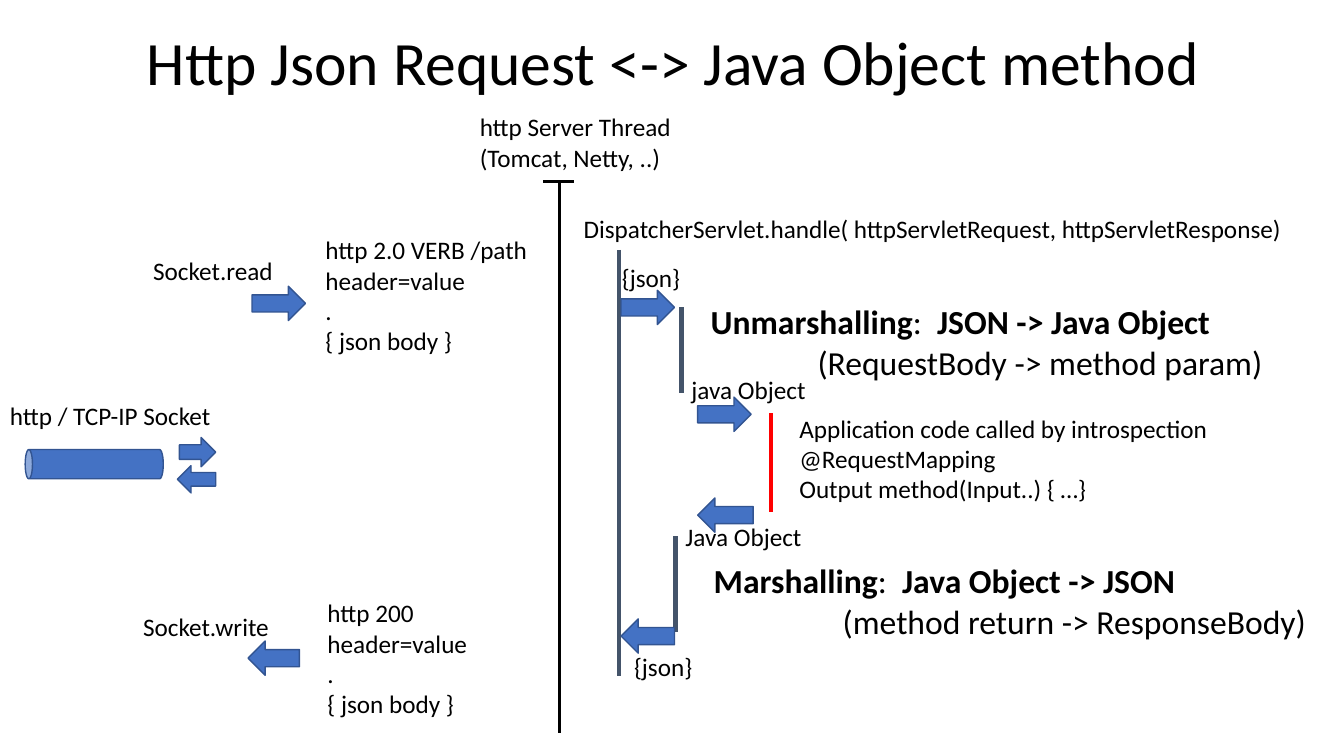
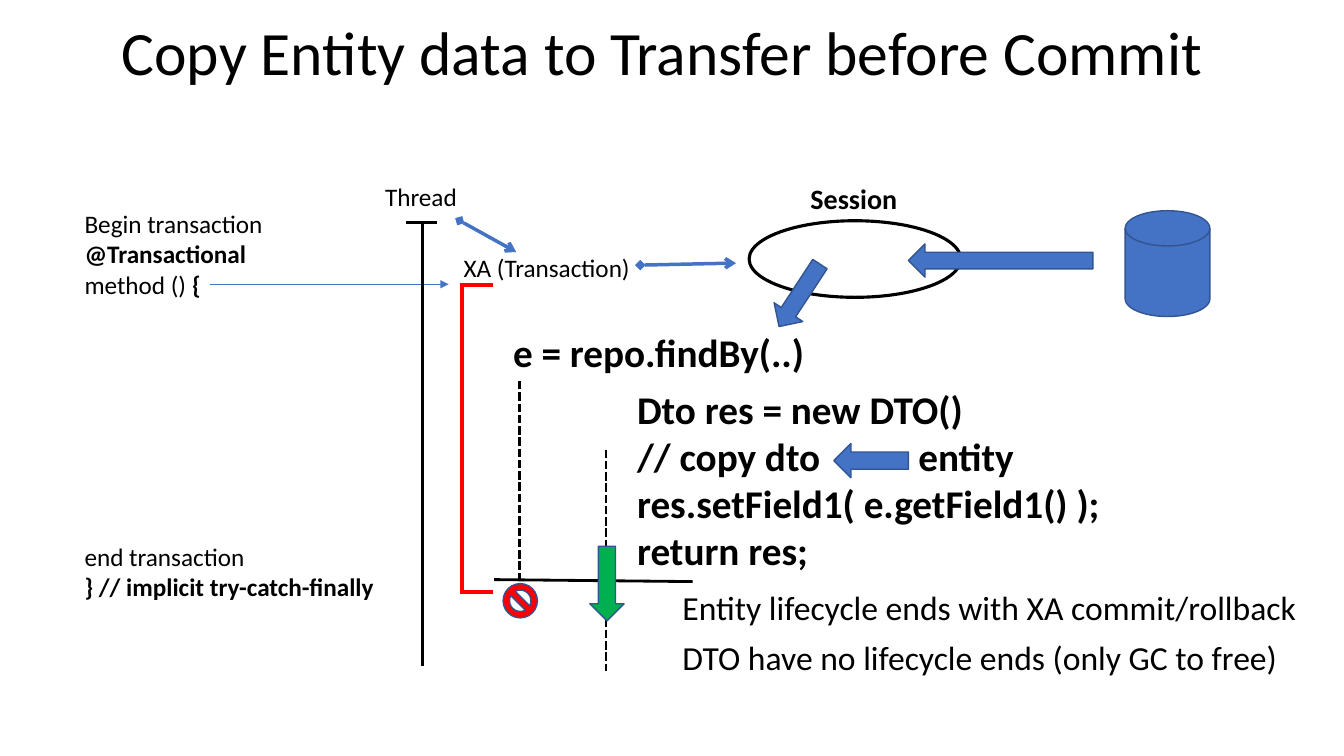
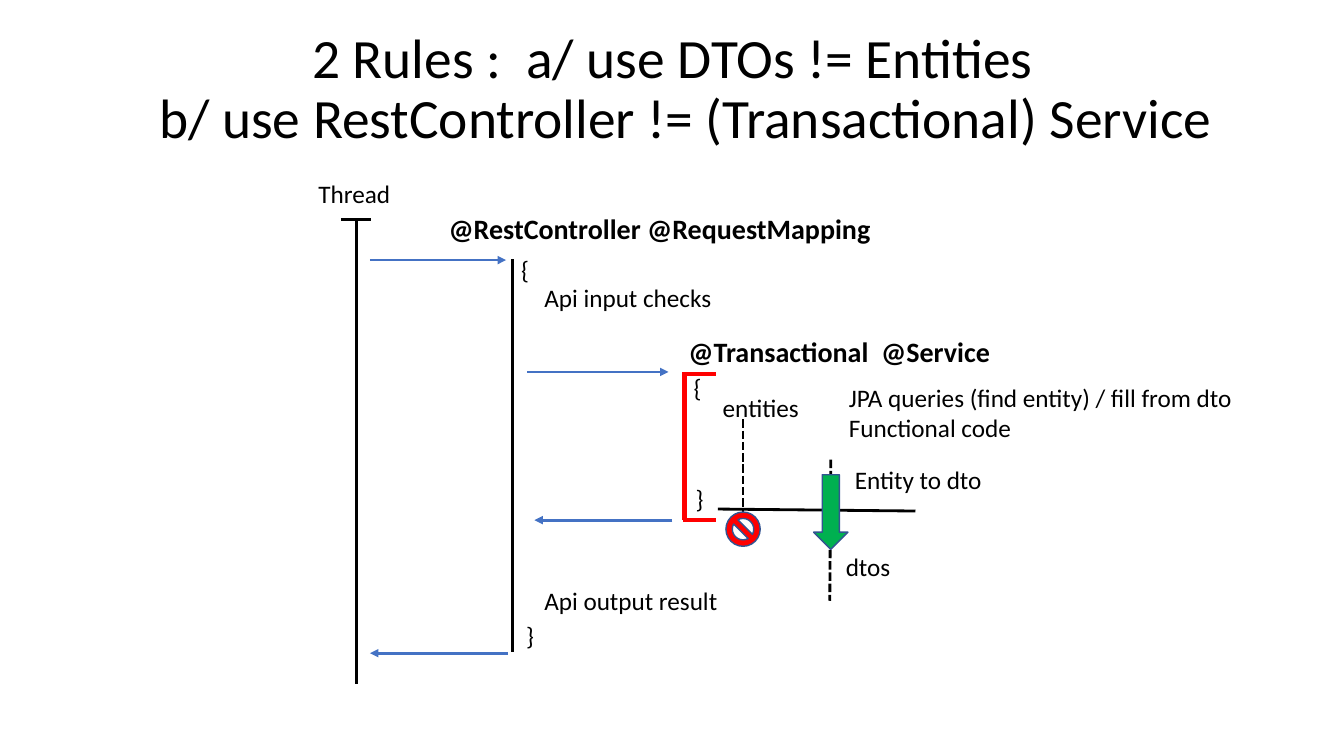
from lxml import etree
from pptx import Presentation
from pptx import util as u
from pptx.dml.color import RGBColor
from pptx.enum import dml, shapes, text
from pptx.oxml.ns import qn

PX = 9144  # 100 px to the inch
FONT = "Calibri"
BLACK, BLUE, EDGE = "000000", "4472C4", "325491"
RED, GREEN, SLATE = "FF0000", "00B050", "44546A"


def ink(color, hue):
    if hasattr(color, "solid"):
        color.solid()
        color = color.fore_color
    color.rgb = RGBColor.from_string(hue)


def write(box, rows, size, indent=0):
    """Fill a box; * toggles bold, indent moves the last row, a tab has one stop."""
    frame = box.text_frame
    for n, row in enumerate(rows):
        para = frame.paragraphs[0] if n == 0 else frame.add_paragraph()
        if indent and n == len(rows) - 1:
            para._p.get_or_add_pPr().set("marL", str(indent * PX))
        if "\t" in row:
            tabs = etree.SubElement(para._p.get_or_add_pPr(), qn("a:tabLst"))
            etree.SubElement(tabs, qn("a:tab"), pos=str(279 * PX), algn="l")
        for k, part in enumerate(row.split("*")):
            if part:
                run = para.add_run()
                run.text = part
                run.font.name = FONT
                run.font.size = u.Pt(size)
                run.font.bold = k % 2 == 1
                ink(run.font.color, BLACK)
    return frame


deck = Presentation()
deck.slide_width, deck.slide_height = 1333 * PX, 750 * PX
pages = [deck.slides.add_slide(deck.slide_layouts[6]) for _ in range(3)]

# Titles: left, top, size, indent of last row, rows
titles = [
    (93, -7, 44, 0, ["Http Json Request <-> Java Object method"]),
    (82, -17, 44, 0, ["Copy Entity data to Transfer before Commit"]),
    (92, 17, 39.6, 26, ["2 Rules :  a/ use DTOs != Entities",
                        "b/ use RestController != (Transactional) Service"]),
]
for page, (x, y, size, indent, rows) in zip(pages, titles):
    box = page.shapes.add_textbox(x * PX, y * PX, 1150 * PX, 145 * PX)
    frame = write(box, rows, size, indent)
    frame.word_wrap = True
    frame.vertical_anchor = text.MSO_ANCHOR.MIDDLE
    for para in frame.paragraphs:
        para.alignment = text.PP_ALIGN.CENTER
        para.line_spacing = 0.9

# Lines: page, x1, y1, x2, y2, hue, width, dashed, head, tail
plain = (False, None, None)
dashed = (True, None, None)
arrow = (False, None, "triangle")
link = (False, "diamond", "arrow")
lines = [
    (0, 614, 248, 614, 671, SLATE, 3, *plain),
    (0, 676, 305, 676, 390, SLATE, 3, *plain),
    (0, 670, 532, 670, 627, SLATE, 3, *plain),
    (0, 765, 410, 765, 508, RED, 3, *plain),
    (1, 456, 219, 512, 250, BLUE, 2.5, *link),
    (1, 635, 263, 730, 261, BLUE, 2.5, *link),
    (1, 208, 282, 445, 282, BLUE, 0.5, *arrow),
    (1, 515, 378, 515, 579, BLACK, 2, *dashed),
    (1, 687, 577, 490, 575, BLACK, 2, *plain),
    (1, 601, 446, 601, 666, BLACK, 2, *dashed),
    (2, 737, 416, 737, 508, BLACK, 2, *dashed),
    (2, 908, 507, 712, 505, BLACK, 2, *plain),
    (2, 824, 456, 823, 596, BLACK, 2, *dashed),
    (2, 508, 257, 508, 647, BLACK, 2, *plain),
    (2, 367, 258, 502, 258, BLUE, 2, *arrow),
    (2, 523, 369, 663, 369, BLUE, 2, *arrow),
    (2, 667, 516, 530, 516, BLUE, 2, *arrow),
    (2, 504, 648, 367, 648, BLUE, 2, *arrow),
]
# Threads: a stem with a cap
for at, x, top, end in [(0, 555, 180, 727), (1, 419, 221, 661), (2, 354, 218, 679)]:
    lines += [(at, x, top, x, end, BLACK, 2, *plain),
              (at, x - 16, top, x + 14, top, BLACK, 2, *plain)]
# Transaction brackets: a stem with two ticks
for at, x, top, end in [(1, 458, 281, 587), (2, 679, 369, 516)]:
    lines.append((at, x, top, x, end, RED, 3, *plain))
    lines += [(at, x + 31, y, x - 2, y, RED, 3, *plain) for y in (top + 2, end)]

for at, x1, y1, x2, y2, hue, width, dash, head, tail in lines:
    line = pages[at].shapes.add_connector(
        shapes.MSO_CONNECTOR.STRAIGHT, x1 * PX, y1 * PX, x2 * PX, y2 * PX)
    line.line.width = u.Pt(width)
    ink(line.line.fill, hue)
    if dash:
        line.line.dash_style = dml.MSO_LINE.SQUARE_DOT
    for tag, end in (("a:headEnd", head), ("a:tailEnd", tail)):
        if end:
            etree.SubElement(line.line._get_or_add_ln(), qn(tag), type=end)
    etree.SubElement(line._element.spPr, qn("a:effectLst"))

# Shapes: page, kind, left, top, width, height, turn, fill
kind = shapes.MSO_SHAPE
RIGHT, LEFT, DOWN = kind.RIGHT_ARROW, kind.LEFT_ARROW, kind.DOWN_ARROW
forms = [
    (0, kind.CAN, 79, 392, 29, 137, 270, BLUE),
    (0, RIGHT, 250, 284, 53, 34, 0, BLUE),
    (0, LEFT, 246, 636, 51, 34, 0, BLUE),
    (0, RIGHT, 616, 288, 53, 34, 0, BLUE),
    (0, LEFT, 616, 614, 53, 34, 0, BLUE),
    (0, RIGHT, 692, 394, 53, 34, 0, BLUE),
    (0, LEFT, 692, 494, 55, 34, 0, BLUE),
    (0, RIGHT, 178, 434, 36, 29, 0, BLUE),
    (0, LEFT, 176, 462, 38, 27, 0, BLUE),
    (1, kind.OVAL, 743, 219, 210, 76, 0, None),
    (1, DOWN, 776, 256, 34, 74, 33.2, BLUE),
    (1, LEFT, 901, 242, 183, 33, 0, BLUE),
    (1, kind.FLOWCHART_MAGNETIC_DISK, 1116, 209, 84, 105, 0, BLUE),
    (1, LEFT, 827, 440, 74, 34, 0, BLUE),
    (1, kind.NO_SYMBOL, 499, 579, 34, 34, 0, RED),
    (1, DOWN, 585, 542, 34, 74, 0, GREEN),
    (2, kind.NO_SYMBOL, 720, 508, 34, 34, 0, RED),
    (2, DOWN, 807, 471, 34, 74, 0, GREEN),
]
for at, form, x, y, w, h, turn, hue in forms:
    shape = pages[at].shapes.add_shape(form, x * PX, y * PX, w * PX, h * PX)
    shape.shadow.inherit = False
    shape.rotation = turn
    if hue:
        ink(shape.fill, hue)
    else:
        shape.fill.background()
    ink(shape.line.fill, EDGE if hue else BLACK)
    shape.line.width = u.Pt(1 if hue else 2.25)

# Labels: page, left, top, width, size, indent of last row, rows
labels = [
    (0, 466, 106, 212, 18, 0, ["http Server Thread", "(Tomcat, Netty, ..)"]),
    (0, 569, 207, 721, 18, 0,
     ["DispatcherServlet.handle( httpServletRequest, httpServletResponse)"]),
    (0, 783, 405, 430, 18, 0, ["Application code called by introspection",
                               "@RequestMapping", "Output method(Input..) { …}"]),
    (0, 695, 294, 571, 24, 106, ["*Unmarshalling*:  *JSON -> Java Object*",
                                 "(RequestBody -> method param)"]),
    (0, 698, 551, 612, 24, 128, ["*Marshalling*:  *Java Object -> JSON*",
                                 "(method return -> ResponseBody)"]),
    (0, 0, 392, 223, 18, 0, ["http / TCP-IP Socket"]),
    (0, 142, 248, 141, 18, 0, ["Socket.read"]),
    (0, 132, 602, 145, 18, 0, ["Socket.write"]),
    (0, 313, 228, 223, 18, 0,
     ["http 2.0 VERB /path", "header=value", ".", "{ json body }"]),
    (0, 315, 588, 160, 18, 0, ["http 200", "header=value", ".", "{ json body }"]),
    (0, 607, 255, 78, 18, 0, ["{json}"]),
    (0, 619, 641, 78, 18, 0, ["{json}"]),
    (0, 676, 366, 134, 18, 0, ["java Object"]),
    (0, 670, 512, 137, 18, 0, ["Java Object"]),
    (1, 372, 175, 92, 18, 0, ["Thread"]),
    (1, 450, 245, 187, 18, 0, ["XA (Transaction)"]),
    (1, 794, 175, 107, 20, 0, ["*Session*"]),
    (1, 499, 321, 313, 28, 0, ["*e = repo.findBy(..)*"]),
    (1, 74, 202, 199, 18, 0,
     ["Begin transaction", "*@Transactional*", "method () *{*"]),
    (1, 74, 532, 308, 18, 0,
     ["end transaction", "*} // implicit try-catch-finally*"]),
    (1, 622, 377, 485, 28, 0,
     ["*Dto res = new DTO()*", "*// copy dto\tentity*",
      "*res.setField1( e.getField1() );*", "*return res;*"]),
    (1, 667, 577, 635, 24, 0, ["Entity lifecycle ends with XA commit/rollback"]),
    (1, 667, 627, 616, 24, 0, ["DTO have no lifecycle ends (only GC to free)"]),
    (2, 306, 172, 92, 18, 0, ["Thread"]),
    (2, 435, 205, 442, 20, 0, ["*@RestController @RequestMapping*"]),
    (2, 673, 327, 322, 20, 0, ["*@Transactional  @Service*"]),
    (2, 507, 247, 28, 18, 0, ["{"]),
    (2, 678, 364, 28, 18, 0, ["{"]),
    (2, 680, 475, 28, 18, 0, ["}"]),
    (2, 512, 610, 28, 18, 0, ["}"]),
    (2, 530, 275, 188, 18, 0, ["Api input checks"]),
    (2, 530, 576, 194, 18, 0, ["Api output result"]),
    (2, 707, 384, 97, 18, 0, ["entities"]),
    (2, 829, 542, 65, 18, 0, ["dtos"]),
    (2, 832, 374, 413, 18, 0,
     ["JPA queries (find entity) / fill from dto", "Functional code"]),
    (2, 838, 456, 147, 18, 0, ["Entity to dto"]),
]
for at, x, y, w, size, indent, rows in labels:
    high = 10 + round(len(rows) * size * 5 / 3)
    box = pages[at].shapes.add_textbox(x * PX, y * PX, w * PX, high * PX)
    frame = write(box, rows, size, indent)
    frame.word_wrap = False
    frame.auto_size = text.MSO_AUTO_SIZE.SHAPE_TO_FIT_TEXT

deck.save("out.pptx")
